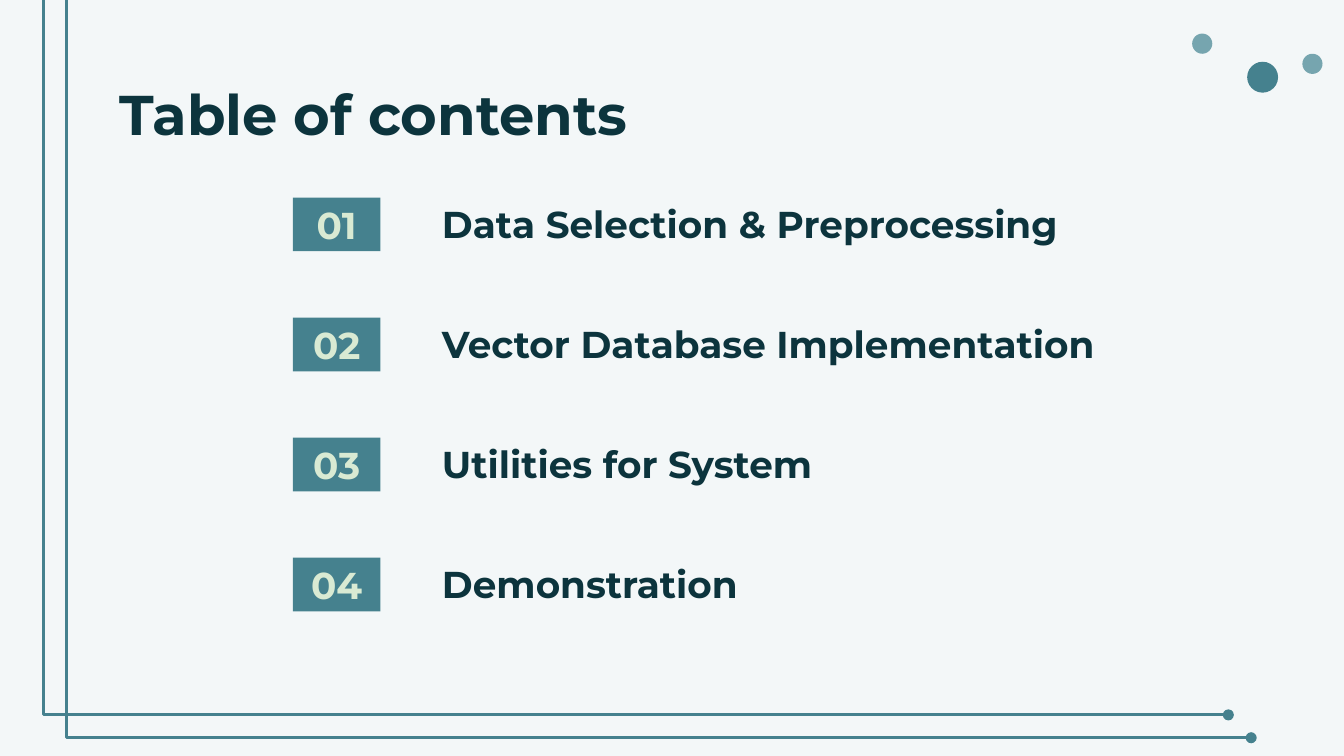
"""Build the table of contents slide."""
from lxml import etree
from pptx import Presentation
from pptx.dml.color import RGBColor
from pptx.enum import shapes, text
from pptx.oxml.ns import qn
from pptx.util import Inches, Pt

PALE = RGBColor(0xF3, 0xF7, 0xF8)
TEAL = RGBColor(0x45, 0x81, 0x8E)
MIST = RGBColor(0x76, 0xA5, 0xAF)
DARK = RGBColor(0x0C, 0x34, 0x3D)
MINT = RGBColor(0xD9, 0xEA, 0xD3)

DOTS = [(9.28, 0.46, 0.23, TEAL), (8.87, 0.25, 0.15, MIST), (9.69, 0.4, 0.15, MIST)]
RAILS = [(0.41, -0.24), (0.58, -0.07)]
ITEMS = [
    ("Data Selection & Preprocessing", 4.8),
    ("Vector Database Implementation", 5.11),
    ("Utilities for System", 4.64),
    ("Demonstration", 4.64),
]
TOP, LAST = 1.47, 4.15
STEP = (LAST - TOP) / (len(ITEMS) - 1)


def write(shape, words, size, color, anchor, align, space=1.0):
    """Fill a shape with one bold paragraph."""
    frame = shape.text_frame
    frame.text = words
    inset = Inches(0.1)
    layout = {
        "word_wrap": True, "auto_size": text.MSO_AUTO_SIZE.NONE,
        "vertical_anchor": anchor, "margin_left": inset, "margin_right": inset,
        "margin_top": inset, "margin_bottom": inset,
    }
    for name, value in layout.items():
        setattr(frame, name, value)
    para = frame.paragraphs[0]
    para.alignment = align
    para.line_spacing = space
    font = para.runs[0].font
    for name, value in {"name": "Montserrat", "size": Pt(size), "bold": True}.items():
        setattr(font, name, value)
    font.color.rgb = color


def add_block(slide, kind, box, color):
    """Add a plain filled shape."""
    block = slide.shapes.add_shape(kind, *map(Inches, box))
    block.shadow.inherit = False
    block.fill.solid()
    block.fill.fore_color.rgb = color
    block.line.fill.background()
    return block


def add_rail(slide, left, top):
    """Add a bent line that ends in a dot."""
    ends = map(Inches, (left, top, left + 8.73, top + 5.56))
    rail = slide.shapes.add_connector(shapes.MSO_CONNECTOR.ELBOW, *ends)
    rail.line.color.rgb = TEAL
    rail.line.width = Pt(1.5)
    props = rail._element.spPr.find(qn("a:ln"))
    etree.SubElement(props, qn("a:tailEnd"), type="oval")
    bend = rail._element.spPr.find(".//" + qn("a:avLst"))
    etree.SubElement(bend, qn("a:gd"), name="adj1", fmla="val -1000")
    etree.SubElement(rail._element.spPr, qn("a:effectLst"))


def add_title(slide, words):
    """Place and format the title."""
    title = slide.shapes.title
    box = {"left": 0.79, "top": 0.49, "width": 8.43, "height": 0.63}
    for name, value in box.items():
        setattr(title, name, Inches(value))
    write(title, words, 30, DARK, text.MSO_ANCHOR.TOP, text.PP_ALIGN.LEFT)


def add_item(slide, index, words, width):
    """Add a numbered row of the contents."""
    top = TOP + index * STEP
    badge = add_block(slide, shapes.MSO_SHAPE.RECTANGLE, (2.18, top, 0.65, 0.4), TEAL)
    write(badge, f"{index + 1:02}", 20, MINT, text.MSO_ANCHOR.MIDDLE, text.PP_ALIGN.CENTER)
    label = slide.shapes.add_textbox(*map(Inches, (3.19, top + 0.06, width, 0.4)))
    write(label, words, 20, DARK, text.MSO_ANCHOR.BOTTOM, text.PP_ALIGN.LEFT, 1.15)


def main():
    """Build and save the slide."""
    deck = Presentation()
    deck.slide_width = Inches(10)
    deck.slide_height = Inches(10 * 9 / 16)
    slide = deck.slides.add_slide(deck.slide_layouts[5])
    slide.background.fill.solid()
    slide.background.fill.fore_color.rgb = PALE
    for left, top, size, color in DOTS:
        add_block(slide, shapes.MSO_SHAPE.OVAL, (left, top, size, size), color)
    for left, top in RAILS:
        add_rail(slide, left, top)
    add_title(slide, "Table of contents")
    for index, (words, width) in enumerate(ITEMS):
        add_item(slide, index, words, width)
    deck.save("out.pptx")


if __name__ == "__main__":
    main()
